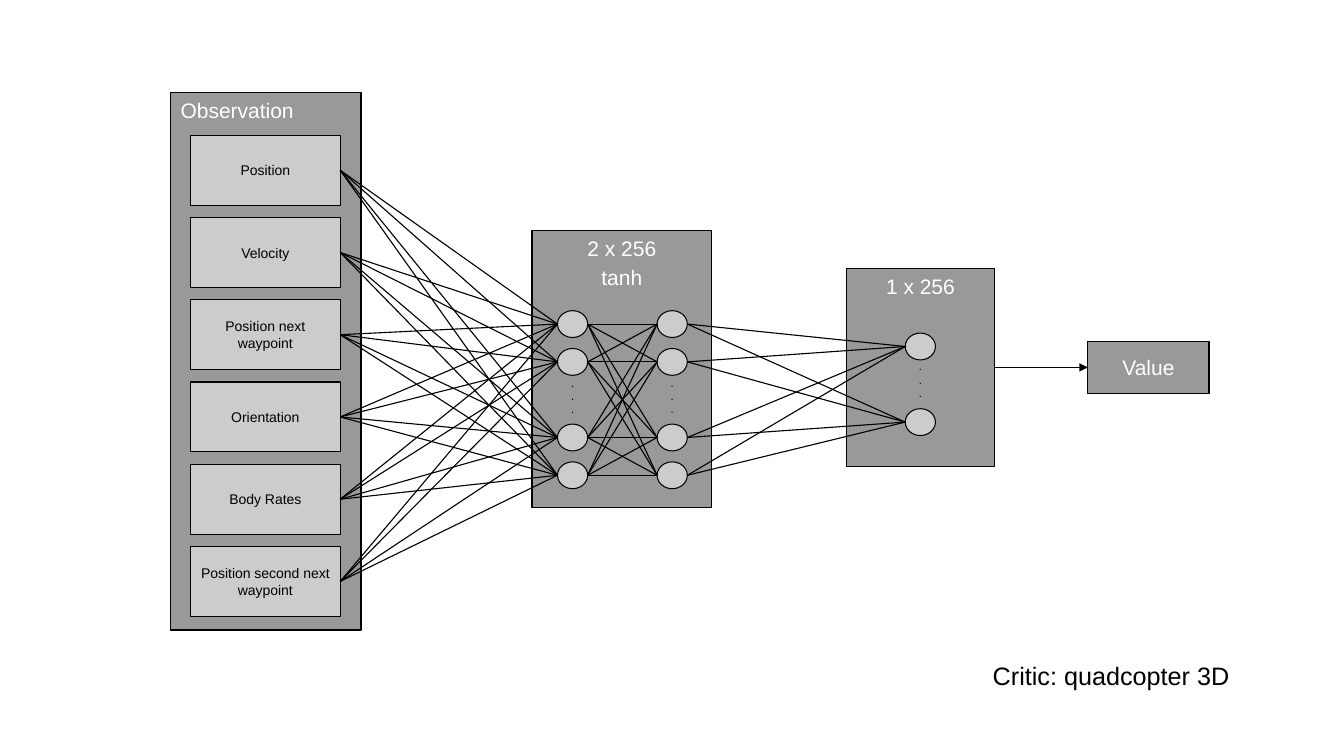
from lxml.etree import SubElement
from pptx import Presentation
from pptx.dml.color import RGBColor
from pptx.enum.shapes import MSO_CONNECTOR, MSO_SHAPE
from pptx.enum.text import MSO_ANCHOR, PP_ALIGN
from pptx.oxml.ns import qn
from pptx.util import Pt


def color(value):
    return RGBColor.from_string(value)


def write(shape, lines, size, text_color, align, anchor=MSO_ANCHOR.TOP, space=0):
    frame = shape.text_frame
    frame.word_wrap = True
    frame.vertical_anchor = anchor
    for index, line in enumerate(lines):
        paragraph = frame.add_paragraph() if index else frame.paragraphs[0]
        paragraph.alignment = align
        if index:
            paragraph.space_before = Pt(space)
        run = paragraph.add_run()
        run.text = line
        run.font.name = "Arial"
        run.font.size = Pt(size)
        run.font.color.rgb = color(text_color)


presentation = Presentation()
presentation.slide_width = Pt(960)
presentation.slide_height = Pt(540)
slide = presentation.slides.add_slide(presentation.slide_layouts[6])
shapes = slide.shapes

caption = shapes.add_textbox(Pt(702), Pt(468), Pt(198), Pt(27.4))
write(caption, ["Critic: quadcopter 3D"], 18, "000000", PP_ALIGN.LEFT)

panels = [
    (["Observation"], 121.9, 66, 136, 384, PP_ALIGN.LEFT, MSO_ANCHOR.TOP),
    (["2 x 256", "tanh"], 380, 164.75, 128.4, 197.5, PP_ALIGN.CENTER, MSO_ANCHOR.TOP),
    (["1 x 256"], 604.5, 191.5, 106, 142, PP_ALIGN.CENTER, MSO_ANCHOR.TOP),
    (["Value"], 777, 244, 86.6, 37, PP_ALIGN.CENTER, MSO_ANCHOR.MIDDLE),
]
panel_shapes = []
for lines, left, top, width, height, align, anchor in panels:
    panel = shapes.add_shape(MSO_SHAPE.RECTANGLE, Pt(left), Pt(top), Pt(width), Pt(height))
    write(panel, lines, 15, "FFFFFF", align, anchor, 2.9)
    panel_shapes.append(panel)

inputs = [
    "Position",
    "Velocity",
    "Position next waypoint",
    "Orientation",
    "Body Rates",
    "Position second next waypoint",
]
input_shapes = []
for index, name in enumerate(inputs):
    top = 96.6 + 58.75 * index
    box = shapes.add_shape(MSO_SHAPE.RECTANGLE, Pt(136), Pt(top), Pt(107), Pt(50))
    write(box, [name], 10, "000000", PP_ALIGN.CENTER, MSO_ANCHOR.MIDDLE)
    input_shapes.append(box)

hidden_rows = [231.5, 258.5, 312.5, 339.5]
layers = [(409, hidden_rows, 268.5), (480.2, hidden_rows, 268.5), (657.4, [247.5, 301.5], 257)]
neuron_width, neuron_height = 21.6, 19.2
neuron_layers = []
for center, rows, dots_top in layers:
    neurons = []
    for row in rows:
        neurons.append(shapes.add_shape(
            MSO_SHAPE.OVAL, Pt(center - neuron_width / 2), Pt(row - neuron_height / 2),
            Pt(neuron_width), Pt(neuron_height)))
    neuron_layers.append(neurons)
    dots = shapes.add_textbox(Pt(center - 10), Pt(dots_top), Pt(20), Pt(30))
    dots.text_frame.margin_left = dots.text_frame.margin_right = 0
    dots.text_frame.margin_top = dots.text_frame.margin_bottom = 0
    write(dots, [".", ".", "."], 8, "000000", PP_ALIGN.CENTER)

neurons = sum(neuron_layers, [])
for shape in panel_shapes + input_shapes + neurons:
    shape.shadow.inherit = False
    shape.fill.solid()
    shape.fill.fore_color.rgb = color("999999" if shape in panel_shapes else "CCCCCC")
    shape.line.color.rgb = color("000000")
    shape.line.width = Pt(0 if shape in neurons else 0.79)

stages = [input_shapes] + neuron_layers
links = [
    (source, target)
    for sources, targets in zip(stages, stages[1:])
    for source in sources
    for target in targets
]
output_panel, value_panel = panel_shapes[2:]
links.append((output_panel, value_panel))
for source, target in links:
    connector = shapes.add_connector(
        MSO_CONNECTOR.STRAIGHT,
        source.left + source.width, source.top + source.height // 2,
        target.left, target.top + target.height // 2)
    if source not in neurons:
        connector.begin_connect(source, 3)
    connector.line.color.rgb = color("000000")
    connector.line.width = Pt(0.79)
    if target is value_panel:
        connector.end_connect(target, 1)
        connector.line.width = Pt(1)
        SubElement(connector.line._get_or_add_ln(), qn("a:tailEnd"), type="triangle")
    SubElement(connector._element.spPr, qn("a:effectLst"))

presentation.save("out.pptx")
